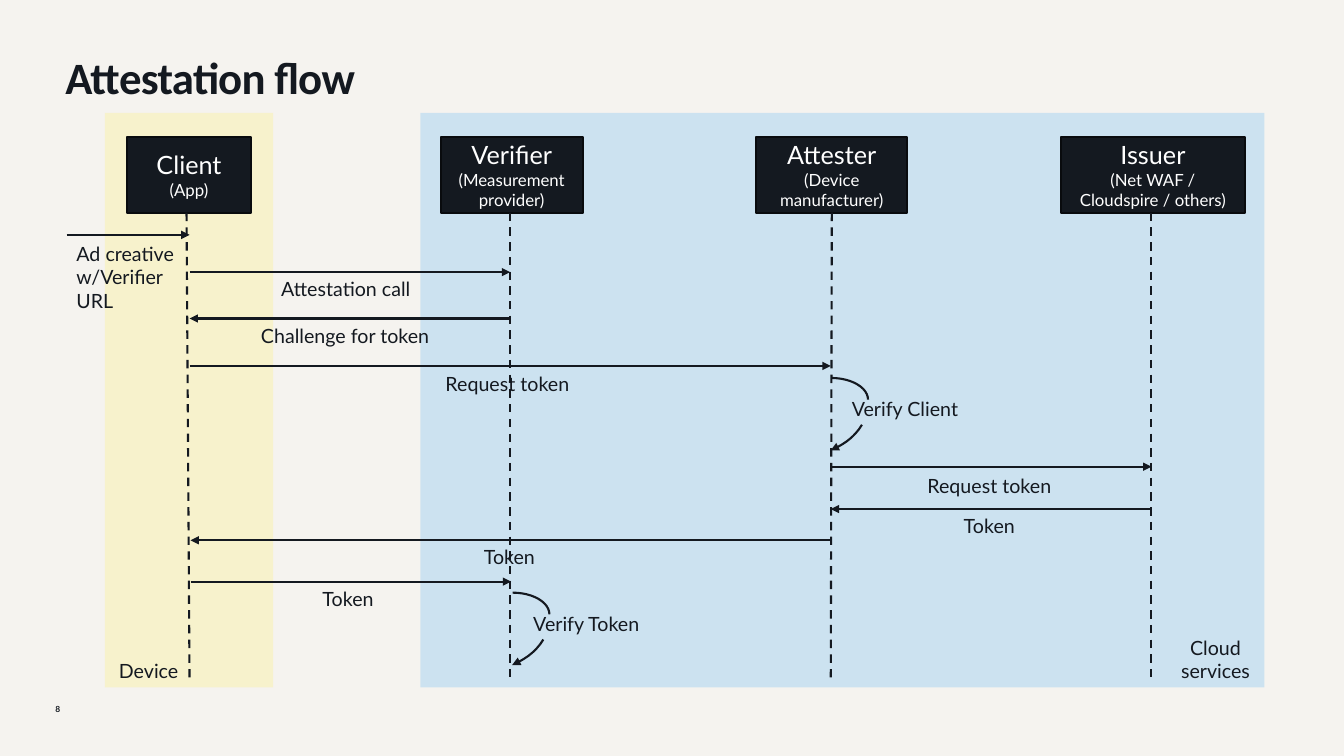
import pptx
import pptx.util
import pptx.dml.color
import pptx.enum.dml
import pptx.enum.shapes
import pptx.enum.text
from lxml import etree
from pptx.oxml.ns import qn

Inches = pptx.util.Inches
Pt = pptx.util.Pt
SHAPE = pptx.enum.shapes.MSO_SHAPE
ALIGN = pptx.enum.text.PP_ALIGN
ANCHOR = pptx.enum.text.MSO_ANCHOR

INK = "141920"
EDGE = "090B0E"
WHITE = "FFFFFF"

# Lifelines: role, detail, box left, box width, line top x, line end x
ROLES = [
    ("Client", "(App)", 1.26, 1.23, 1.85, 1.88),
    ("Verifier", "(Measurement provider)", 4.37, 1.41, 5.06, 5.06),
    ("Attester", "(Device manufacturer)", 7.5, 1.5, 8.25, 8.24),
    ("Issuer", "(Net WAF / Cloudspire / others)", 10.52, 1.83, 11.42, 11.42),
]

# Messages: lines, start x, end x, y, label left, label top, label width
CALLS = [
    (["Ad creative", "w/Verifier", "URL"], 0.66, 1.88, 2.33, 0.66, 2.35, 1.2),
    (["Attestation call"], 1.88, 5.06, 2.7, 2.69, 2.7, 1.56),
    (["Challenge for token"], 5.06, 1.88, 3.16, 2.49, 3.16, 1.96),
    (["Request token"], 1.88, 8.24, 3.63, 4.32, 3.64, 1.48),
    (["Request token"], 8.25, 11.42, 4.63, 9.1, 4.65, 1.48),
    (["Token"], 11.42, 8.24, 5.05, 9.46, 5.05, 0.75),
    (["Token"], 8.25, 1.89, 5.36, 4.7, 5.36, 0.75),
    (["Token"], 1.89, 5.07, 5.77, 3.1, 5.77, 0.75),
]


def color(code):
    return pptx.dml.color.RGBColor.from_string(code)


def write(shape, lines, sizes=(14,), font="Lato", ink=INK, bold=False,
          align=ALIGN.LEFT, anchor=ANCHOR.TOP, wrap=True,
          inset=(0.1, 0.05, 0.1, 0.05), space=None, track=None):
    """Fill a shape with paragraphs; the last size serves the remaining lines."""
    frame = shape.text_frame
    frame.word_wrap = wrap
    frame.vertical_anchor = anchor
    (frame.margin_left, frame.margin_top,
     frame.margin_right, frame.margin_bottom) = map(Inches, inset)
    for i, line in enumerate(lines):
        para = frame.paragraphs[0] if i == 0 else frame.add_paragraph()
        para.alignment = align
        if space:
            para.line_spacing = space
        run = para.add_run()
        run.text = line
        run.font.name = font
        run.font.size = Pt(sizes[min(i, len(sizes) - 1)])
        run.font.bold = bold
        run.font.color.rgb = color(ink)
        if track:
            run.font._element.set("spc", str(track))


def label(slide, lines, left, top, width, height, **style):
    box = slide.shapes.add_textbox(
        Inches(left), Inches(top), Inches(width), Inches(height))
    write(box, lines, **style)


def block(slide, kind, left, top, width, height, fill=None, line=None, alpha=None):
    shape = slide.shapes.add_shape(
        kind, Inches(left), Inches(top), Inches(width), Inches(height))
    shape.shadow.inherit = False
    if fill:
        shape.fill.solid()
        shape.fill.fore_color.rgb = color(fill)
    else:
        shape.fill.background()
    if alpha:
        tint = shape._element.spPr.find(qn("a:solidFill"))[0]
        etree.SubElement(tint, qn("a:alpha")).set("val", str(alpha * 1000))
    if line:
        shape.line.color.rgb = color(line)
        shape.line.width = Pt(1.5)
    else:
        shape.line.fill.background()
    return shape


def arrow(shape):
    tail = etree.SubElement(shape.line._get_or_add_ln(), qn("a:tailEnd"))
    tail.set("type", "triangle")


def link(slide, x1, y1, x2, y2):
    line = slide.shapes.add_connector(
        pptx.enum.shapes.MSO_CONNECTOR.STRAIGHT,
        Inches(x1), Inches(y1), Inches(x2), Inches(y2))
    line.line.color.rgb = color(INK)
    line.line.width = Pt(1.5)
    etree.SubElement(line._element.spPr, qn("a:effectLst"))
    return line


def zone(slide, text, left, width, fill, inset):
    area = block(slide, SHAPE.RECTANGLE, left, 1.12, width, 5.7, fill, alpha=20)
    write(area, [text], align=ALIGN.CENTER, anchor=ANCHOR.BOTTOM, inset=inset)


def role(slide, name, detail, left, width, start, end):
    box = block(slide, SHAPE.RECTANGLE, left, 1.36, width, 0.75, INK, EDGE)
    write(box, [name, detail], sizes=(18, 12), ink=WHITE,
          align=ALIGN.CENTER, anchor=ANCHOR.MIDDLE)
    line = link(slide, start, 2.11, end, 6.76)
    line.line.dash_style = pptx.enum.dml.MSO_LINE.DASH


def call(slide, lines, start, end, y, left, top, width):
    arrow(link(slide, start, y, end, y))
    label(slide, lines, left, top, width, 0.1 + 0.24 * len(lines), wrap=False)


def check(slide, text, left, top, width):
    """Self-call: an arc out, its label, and an arc back with an arrowhead."""
    block(slide, SHAPE.ARC, left, top, 0.73, 0.43, line=INK)
    label(slide, [text], left + 0.47, top + 0.14, width, 0.34, wrap=False)
    back = block(slide, SHAPE.ARC, left - 1.02, top - 0.25, 1.74, 1.07, line=INK)
    back.adjustments[0] = 7.43
    back.adjustments[1] = 24.24
    arrow(back)


def main():
    deck = pptx.Presentation()
    deck.slide_width = Inches(13.33)
    deck.slide_height = Inches(7.5)
    slide = deck.slides.add_slide(deck.slide_layouts[6])
    slide.background.fill.solid()
    slide.background.fill.fore_color.rgb = color("F5F3EF")

    # Zones
    zone(slide, "Cloud services", 4.17, 8.37, "2CA2F6", (7.5, 0.05, 0.1, 0.05))
    zone(slide, "Device", 1.04, 1.67, "FFEF42", (0.1, 0.05, 0.9, 0.05))

    # Lifelines, messages and self-calls
    for item in ROLES:
        role(slide, *item)
    for item in CALLS:
        call(slide, *item)
    check(slide, "Verify Client", 7.88, 3.75, 1.3)
    check(slide, "Verify Token", 4.72, 5.88, 1.33)

    # Title and page number
    label(slide, ["Attestation flow"], 0.55, 0.55, 12.23, 0.57, sizes=(32,),
          font="Calibri", bold=True, space=0.8, track=-50)
    label(slide, ["8"], 0.55, 6.99, 0.39, 0.2, sizes=(6,), bold=True,
          inset=(0, 0, 0, 0))

    deck.save("out.pptx")


if __name__ == "__main__":
    main()
